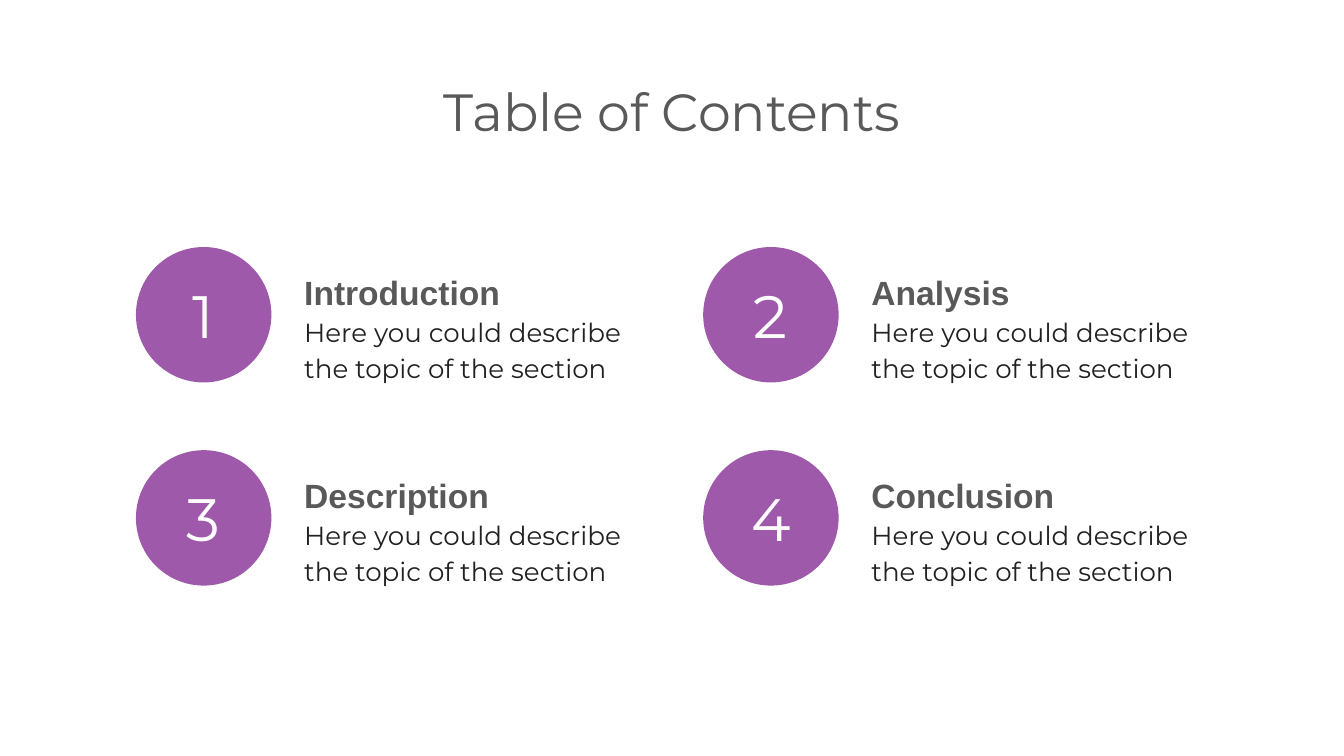
from pptx import Presentation
from pptx.dml.color import RGBColor
from pptx.enum.shapes import MSO_SHAPE
from pptx.enum.text import MSO_ANCHOR, MSO_AUTO_SIZE, PP_ALIGN
from pptx.util import Cm, Pt

PURPLE, GREY, INK, WHITE = "9E59AA", "595959", "212121", "FFFFFF"
SUMMARY = "Here you could describe the topic of the section"
SECTIONS = ["Introduction", "Analysis", "Description", "Conclusion"]


def color(hex_code):
    return RGBColor.from_string(hex_code)


def write(frame, text, size, hex_code, font="Montserrat", bold=False,
          align=PP_ALIGN.LEFT, anchor=MSO_ANCHOR.MIDDLE, spacing=1.0):
    frame.word_wrap = True
    frame.auto_size = MSO_AUTO_SIZE.NONE
    frame.vertical_anchor = anchor
    frame.margin_left = frame.margin_right = Cm(0.25)
    frame.margin_top = frame.margin_bottom = Cm(0.25)
    frame.text = text
    paragraph = frame.paragraphs[0]
    paragraph.alignment = align
    paragraph.line_spacing = spacing
    paragraph.font.name = font
    paragraph.font.size = Pt(size)
    paragraph.font.bold = bold
    paragraph.font.color.rgb = color(hex_code)


def add_heading(slide, left, top, width, height):
    heading = slide.shapes.title
    heading.left, heading.top = Cm(left), Cm(top)
    heading.width, heading.height = Cm(width), Cm(height)
    write(heading.text_frame, "Table of Contents", 28, GREY,
          align=PP_ALIGN.CENTER, anchor=MSO_ANCHOR.TOP)


def add_label(slide, left, top, width, height, text, size, hex_code, **style):
    label = slide.shapes.add_textbox(Cm(left), Cm(top), Cm(width), Cm(height))
    write(label.text_frame, text, size, hex_code, **style)


def add_section(slide, left, top, number, name):
    circle = slide.shapes.add_shape(
        MSO_SHAPE.OVAL, Cm(left), Cm(top), Cm(2.56), Cm(2.56))
    circle.shadow.inherit = False
    circle.fill.solid()
    circle.fill.fore_color.rgb = color(PURPLE)
    circle.line.fill.background()
    add_label(slide, left + 0.48, top + 0.47, 1.6, 1.6, str(number), 32, WHITE,
              align=PP_ALIGN.CENTER)
    add_label(slide, left + 2.93, top + 0.28, 6.6, 1.02, name, 18, GREY,
              font="Arial", bold=True, spacing=1.15)
    add_label(slide, left + 2.93, top + 1.4, 6.6, 1.02, SUMMARY, 14, INK,
              spacing=1.15)


def add_sections(slide, left, top, column_step, row_step):
    for index, name in enumerate(SECTIONS):
        row, column = divmod(index, 2)
        add_section(slide, left + column * column_step, top + row * row_step,
                    index + 1, name)


def main():
    presentation = Presentation()
    presentation.slide_width, presentation.slide_height = Cm(25.4), Cm(14.29)
    slide = presentation.slides.add_slide(presentation.slide_layouts[5])
    add_heading(slide, 1.98, 1.24, 21.44, 1.6)
    add_sections(slide, 2.57, 4.67, 10.72, 3.84)
    presentation.save("out.pptx")


if __name__ == "__main__":
    main()
